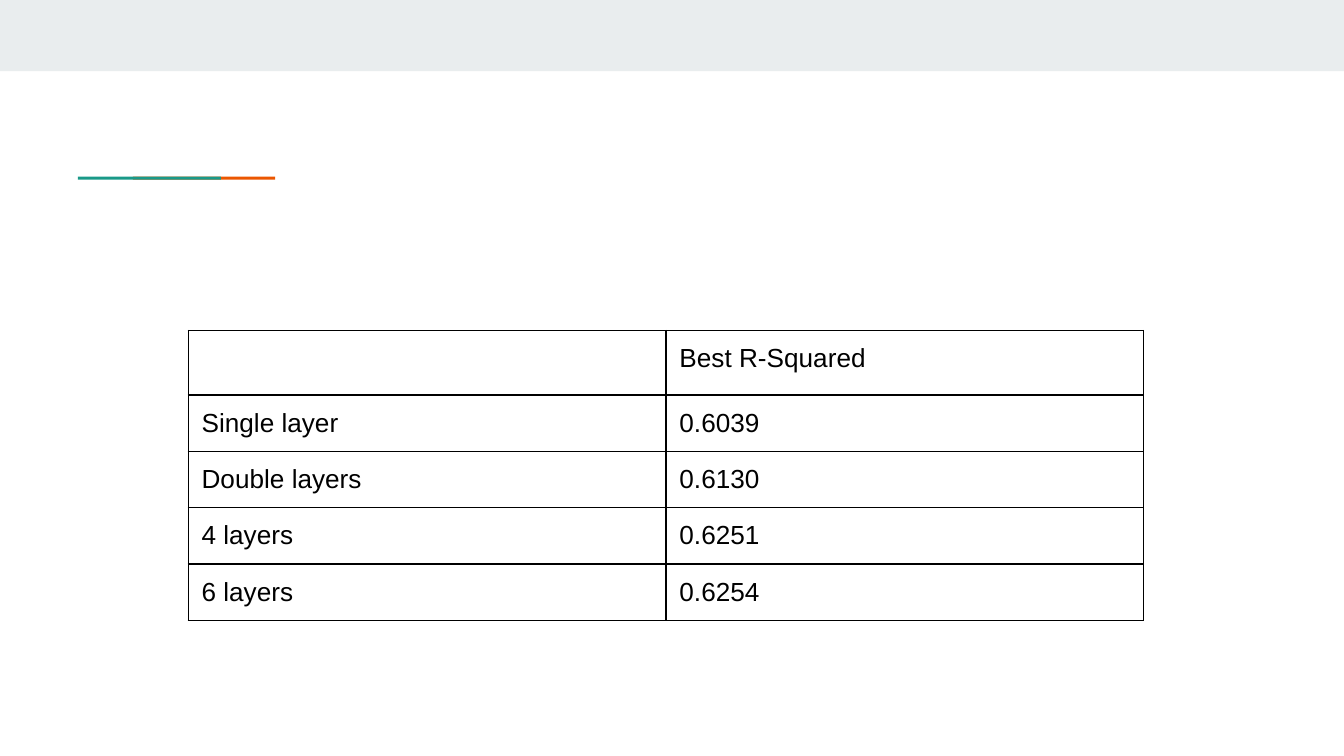
from pptx import Presentation, util as u
from pptx.dml.color import RGBColor
from pptx.enum import shapes
from pptx.oxml import parse_xml
from pptx.oxml.ns import nsdecls


def color(value):
    return RGBColor.from_string(value)


deck = Presentation()
deck.slide_width, deck.slide_height = u.Pt(720), u.Pt(405)
page = deck.slides.add_slide(deck.slide_layouts[6])

bars = [
    (0, 0, 720, 38.2, "E9EDEE"),
    (71.2, 94.7, 76.2, 1.6, "EB5600"),
    (41.8, 94.7, 76.6, 1.6, "1A9988"),
]
for *frame, fill in bars:
    bar = page.shapes.add_shape(shapes.MSO_SHAPE.RECTANGLE, *map(u.Pt, frame))
    bar.shadow.inherit = False
    bar.fill.solid()
    bar.fill.fore_color.rgb = color(fill)
    bar.line.fill.background()

rows = [
    ("", "Best R-Squared"),
    ("Single layer", "0.6039"),
    ("Double layers", "0.6130"),
    ("4 layers", "0.6251"),
    ("6 layers", "0.6254"),
]
heights = [34.3] + [30.2] * 4
frame = page.shapes.add_table(5, 2, u.Pt(100.8), u.Pt(177), u.Pt(512), u.Pt(sum(heights)))
table = frame.table
table.first_row = table.horz_banding = False
for column in table.columns:
    column.width = u.Pt(256)

margins = {f"margin_{side}": u.Pt(7.2) for side in ("left", "right", "top", "bottom")}
font_format = {"name": "Arial", "size": u.Pt(14), "bold": False}
for row, height, values in zip(table.rows, heights, rows):
    row.height = u.Pt(height)
    for cell, value in zip(row.cells, values):
        for name, setting in margins.items():
            setattr(cell, name, setting)
        properties = cell._tc.get_or_add_tcPr()
        for side in "LRTB":
            properties.append(parse_xml(
                f'<a:ln{side} {nsdecls("a")} w="{u.Pt(0.75)}"><a:solidFill>'
                f'<a:srgbClr val="000000"/></a:solidFill></a:ln{side}>'))
        cell.fill.background()
        span = cell.text_frame.paragraphs[0].add_run()
        span.text = value
        for name, setting in font_format.items():
            setattr(span.font, name, setting)
        span.font.color.rgb = color("000000")

deck.save("out.pptx")
